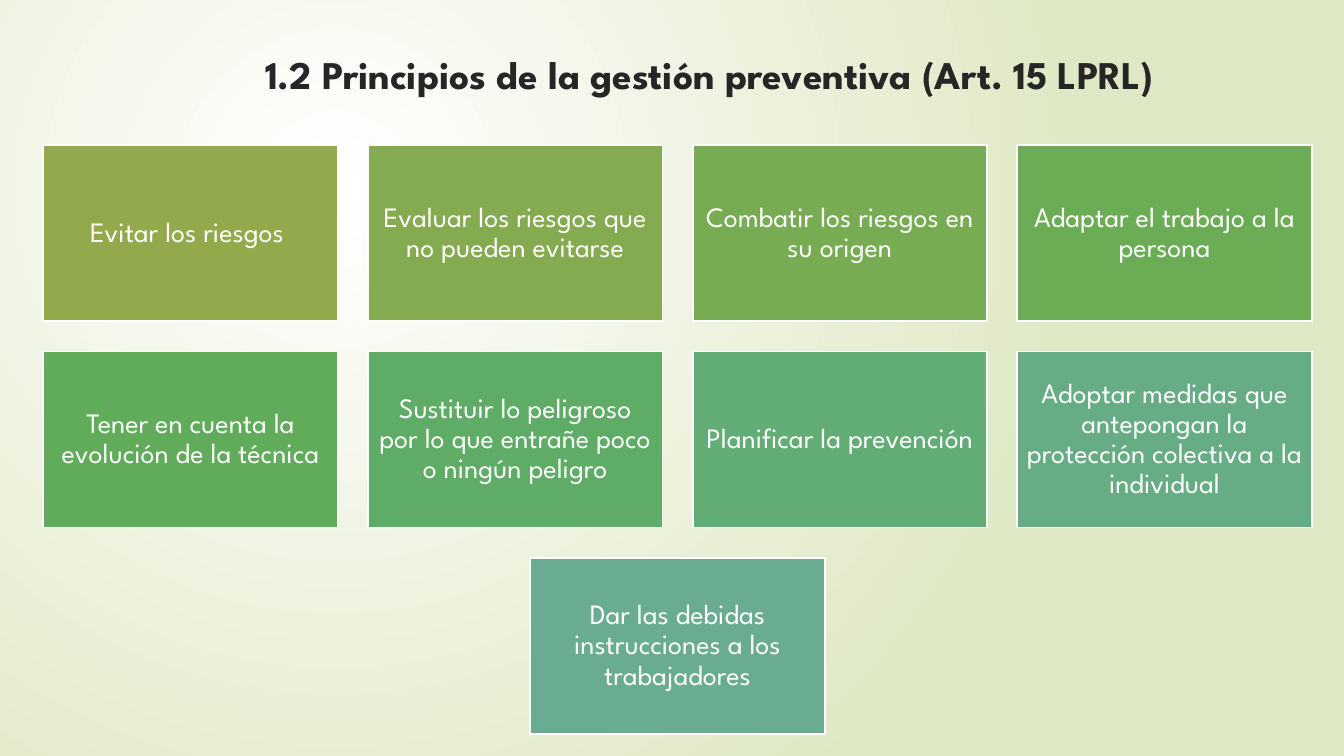
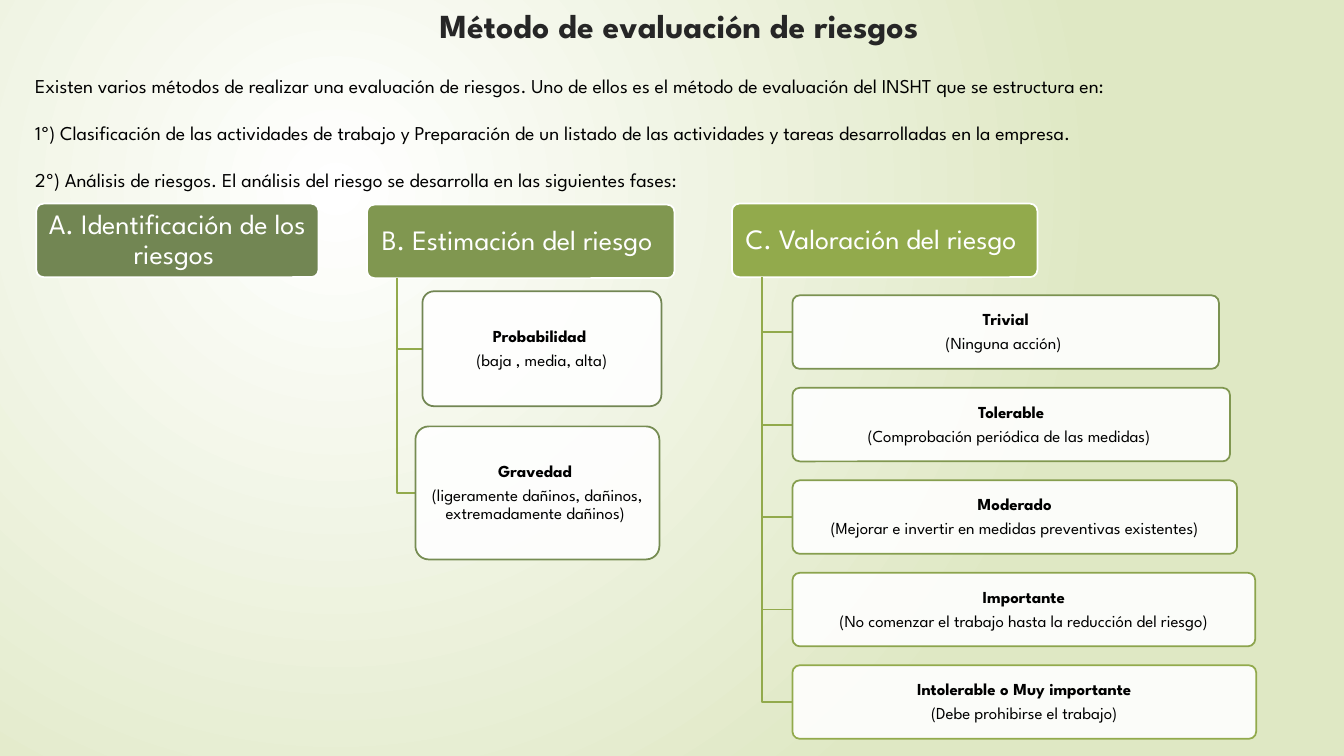
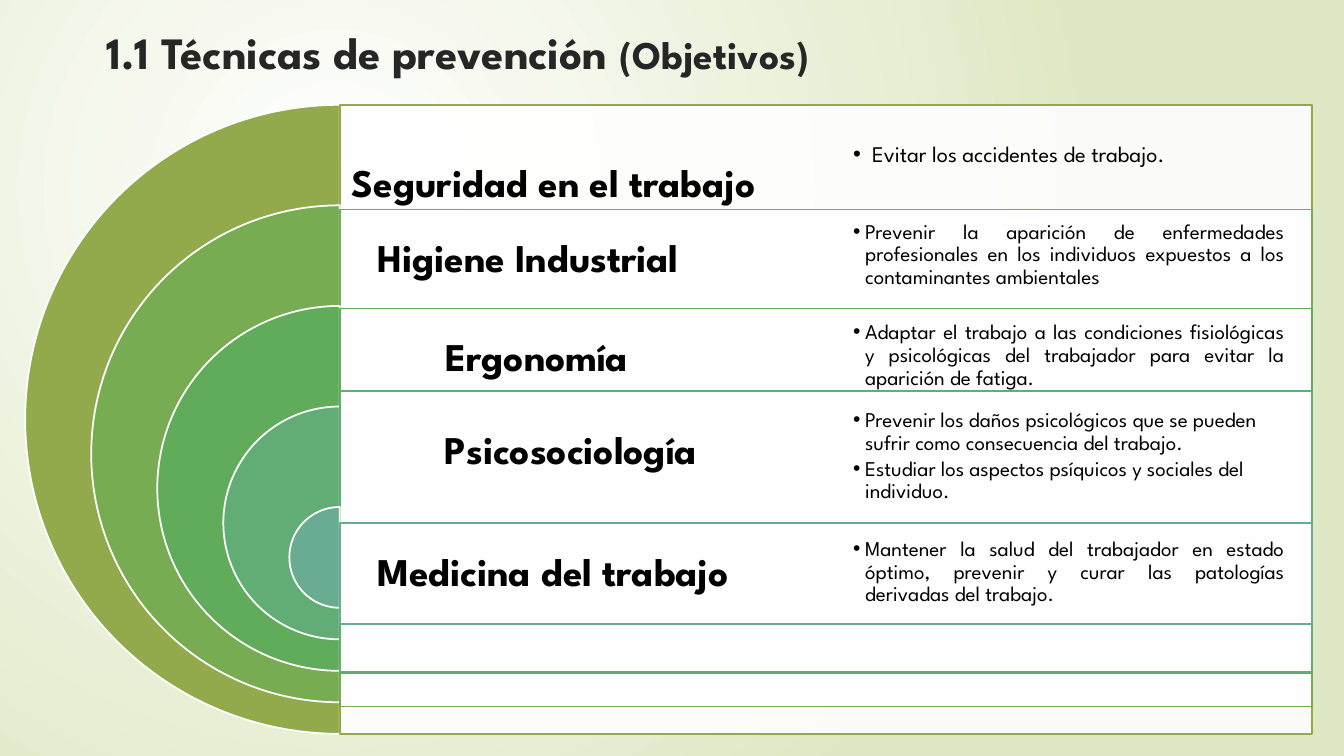
from dataclasses import dataclass

from lxml import etree
from pptx import Presentation
from pptx.dml.color import RGBColor
from pptx.enum.shapes import MSO_SHAPE
from pptx.enum.text import MSO_ANCHOR, PP_ALIGN
from pptx.oxml.ns import qn
from pptx.util import Inches, Pt

RECT, ROUNDED, PIE = MSO_SHAPE.RECTANGLE, MSO_SHAPE.ROUNDED_RECTANGLE, MSO_SHAPE.PIE
LEFT, CENTER, JUSTIFY = PP_ALIGN.LEFT, PP_ALIGN.CENTER, PP_ALIGN.JUSTIFY
TOP, MIDDLE = MSO_ANCHOR.TOP, MSO_ANCHOR.MIDDLE


@dataclass(frozen=True)
class Theme:
    font: str = "League Spartan"
    bullet_font: str = "Arial"
    white: str = "FFFFFF"
    black: str = "000000"
    title: str = "262626"
    backdrop: str = "DFE8C4"
    olive: str = "92AA4C"
    line_width: float = 1.25
    veil_opacity: int = 90
    tight: float = 0.9
    title_size: int = 28
    title_large: int = 32
    title_small: int = 24
    tile_size: int = 20
    intro_size: int = 14
    card_size: int = 12
    label_size: int = 28
    objective_size: int = 15
    objective_large: int = 16


THEME = Theme()


@dataclass(frozen=True)
class Box:
    """An area of the slide, in inches."""
    left: float
    top: float
    width: float
    height: float

    def inside(self, dx, dy, width, height):
        return Box(self.left + dx, self.top + dy, width, height)

    @property
    def middle(self):
        return self.top + self.height / 2

    @property
    def emu(self):
        return [Inches(n) for n in (self.left, self.top, self.width, self.height)]


@dataclass(frozen=True)
class Style:
    """How the paragraphs of one text frame look."""
    color: str = THEME.black
    align: PP_ALIGN = CENTER
    anchor: MSO_ANCHOR = MIDDLE
    spacing: float = THEME.tight
    gap: float = 0
    inset: tuple = (0, 0)
    hanging: float = 0


TITLE = Style(color=THEME.title, spacing=1, inset=(0.1, 0.05))
TITLE_LEFT = Style(color=THEME.title, align=LEFT, spacing=1, inset=(0.1, 0.05))
TILE = Style(color=THEME.white, inset=(6 / 72, 6 / 72))
HEADING = Style(color=THEME.white, inset=(0.06, 0.04))
CARD = Style(gap=4.2, inset=(0.06, 0.04))
INTRO = Style(align=LEFT, anchor=TOP, spacing=1, gap=16.8, inset=(0.1, 0.05))
LABEL = Style(align=LEFT)

PRINCIPLES = [
    ("Evitar los riesgos ", "92AA4C"),
    ("Evaluar los riesgos que no pueden evitarse", "84AB4F"),
    ("Combatir los riesgos en su origen", "77AC52"),
    ("Adaptar el trabajo a la persona", "6BAD55"),
    ("Tener en cuenta la evolución de la técnica", "60AC5A"),
    ("Sustituir lo peligroso por lo que entrañe poco o ningún peligro", "5EAC65"),
    ("Planificar la prevención", "62AC75"),
    ("Adoptar medidas que antepongan la protección colectiva a la individual", "66AC84"),
    ("Dar las debidas instrucciones a los trabajadores", "6AAC91"),
]

INTRO_LINES = [
    "Existen varios métodos de realizar una evaluación de riesgos. Uno de ellos es el "
    "método de evaluación del INSHT que se estructura en:",
    "1º) Clasificación de las actividades de trabajo y Preparación de un listado de las "
    "actividades y tareas desarrolladas en la empresa.",
    "2º) Análisis de riesgos. El análisis del riesgo se desarrolla en las siguientes fases:",
]

# Name, detail, outline, and place relative to the heading.
ESTIMATION = [
    ("Probabilidad ", "(baja , media, alta)", "728653", (0.55, 0.86, 2.37, 1.14)),
    ("Gravedad ", "(ligeramente dañinos, dañinos, extremadamente dañinos) ", "768C52",
     (0.48, 2.2, 2.42, 1.32)),
]

# Name, detail, outline and card width.
LEVELS = [
    ("Trivial", "(Ninguna acción) ", "7B9251", 4.23),
    ("Tolerable", "(Comprobación periódica de las medidas) ", "809750", 4.34),
    ("Moderado", "(Mejorar e invertir en medidas preventivas existentes)", "869E4F", 4.41),
    ("Importante", "(No comenzar el trabajo hasta la reducción del riesgo)", "8CA44D", 4.59),
    ("Intolerable o Muy importante", "(Debe prohibirse el trabajo)", "92AA4C", 4.6),
]
LEVEL_PITCH = 3.67 / (len(LEVELS) - 1)
VALUATION = [(name, detail, outline, (0.6, 0.91 + LEVEL_PITCH * row, width, 0.73))
             for row, (name, detail, outline, width) in enumerate(LEVELS)]


@dataclass(frozen=True)
class Technique:
    """Places are relative to the diagram; the two middles are heights of text."""
    name: str
    color: str
    panel_top: float
    panel_height: float
    label_left: float
    label_middle: float
    objective_middle: float
    objectives: tuple
    size: int = THEME.objective_size
    align: PP_ALIGN = JUSTIFY
    hanging: float = 0.12


TECHNIQUES = [
    Technique("Seguridad en el trabajo", "92AA4C", 0, 6.24, 3.24, 0.79, 0.5,
              ("Evitar los accidentes de trabajo.",),
              THEME.objective_large, LEFT, 0.19),
    Technique("Higiene Industrial", "77AC52", 1.04, 4.93, 3.49, 1.54, 1.49,
              ("Prevenir la aparición de enfermedades profesionales en los individuos "
               "expuestos a los contaminantes ambientales",)),
    Technique("Ergonomía", "60AC5A", 2.02, 3.62, 4.17, 2.52, 2.49,
              ("Adaptar el trabajo a las condiciones fisiológicas y psicológicas del "
               "trabajador para evitar la aparición de fatiga.",)),
    Technique("Psicosociología", "62AC75", 2.84, 2.79, 4.16, 3.44, 3.49,
              ("Prevenir los daños psicológicos que se pueden sufrir como consecuencia "
               "del trabajo.",
               "Estudiar los aspectos psíquicos y sociales del individuo."), align=LEFT),
    Technique("Medicina del trabajo", "6AAC91", 4.15, 1, 3.49, 4.65, 4.64,
              ("Mantener la salud del trabajador en estado óptimo, prevenir y curar las "
               "patologías derivadas del trabajo.",)),
]
RING_SHRINK = 1.31
RING_DROP = 3.99 / (len(TECHNIQUES) - 1)


def rgb(color):
    return RGBColor.from_string(color)


def write(frame, paragraphs, style):
    """Fill a frame; each paragraph is a list of (text, size, bold) runs."""
    frame.word_wrap = True
    frame.vertical_anchor = style.anchor
    frame.margin_left = frame.margin_right = Inches(style.inset[0])
    frame.margin_top = frame.margin_bottom = Inches(style.inset[1])
    for index, runs in enumerate(paragraphs):
        paragraph = frame.add_paragraph() if index else frame.paragraphs[0]
        paragraph.alignment = style.align
        paragraph.line_spacing = style.spacing
        if index and style.gap:
            paragraph.space_before = Pt(style.gap)
        if style.hanging:
            add_bullet(paragraph, style.hanging)
        for text, size, bold in runs:
            run = paragraph.add_run()
            run.text = text
            run.font.name = THEME.font
            run.font.size = Pt(size)
            run.font.bold = bold
            run.font.color.rgb = rgb(style.color)


def add_bullet(paragraph, hanging):
    properties = paragraph._p.get_or_add_pPr()
    properties.set("marL", str(Inches(hanging)))
    properties.set("indent", str(-Inches(hanging)))
    etree.SubElement(properties, qn("a:buFont")).set("typeface", THEME.bullet_font)
    etree.SubElement(properties, qn("a:buChar")).set("char", "•")


def add_text(slide, box, paragraphs, style):
    write(slide.shapes.add_textbox(*box.emu).text_frame, paragraphs, style)


def add_figure(slide, kind, box, fill, line, adjustments=(), opacity=100):
    figure = slide.shapes.add_shape(kind, *box.emu)
    figure.shadow.inherit = False
    figure.fill.solid()
    figure.fill.fore_color.rgb = rgb(fill)
    figure.line.color.rgb = rgb(line)
    figure.line.width = Pt(THEME.line_width)
    for index, value in enumerate(adjustments):
        figure.adjustments[index] = value
    if opacity < 100:
        tint = figure._element.spPr.find(qn("a:solidFill"))[0]
        etree.SubElement(tint, qn("a:alpha")).set("val", str(opacity * 1000))
    return figure


def add_elbow(slide, x1, y1, x2, y2):
    """A line that goes straight down and then across."""
    start, corner, end = [(Inches(x), Inches(y)) for x, y in ((x1, y1), (x1, y2), (x2, y2))]
    outline = slide.shapes.build_freeform(*start)
    outline.add_line_segments([corner, end], close=False)
    elbow = outline.convert_to_shape()
    elbow.shadow.inherit = False
    elbow.fill.background()
    elbow.line.color.rgb = rgb(THEME.olive)
    elbow.line.width = Pt(THEME.line_width)


def paint_background(master):
    """Give every slide a round glow centred a quarter in from the top left."""
    fill = master.background.fill
    fill.gradient()
    for stop, color in zip(fill.gradient_stops, (THEME.white, THEME.backdrop)):
        stop.color.rgb = rgb(color)
    gradient = next(master.element.iter(qn("a:gradFill")))
    linear = gradient.find(qn("a:lin"))
    glow = etree.Element(qn("a:path"), path="circle")
    etree.SubElement(glow, qn("a:fillToRect"), l="50000", t="50000", r="100000", b="100000")
    gradient.replace(linear, glow)


def add_slide(prs, title_box, title_runs, style=TITLE):
    slide = prs.slides.add_slide(prs.slide_layouts[6])
    add_text(slide, title_box, [[(text, size, True) for text, size in title_runs]], style)
    return slide


def add_tile_grid(slide, box, tiles, columns, gap):
    """Equal tiles row by row; a short last row is centred."""
    rows = -(-len(tiles) // columns)
    width = (box.width - gap * (columns - 1)) / columns
    height = (box.height - gap * (rows - 1)) / rows
    for index, (text, fill) in enumerate(tiles):
        row, column = divmod(index, columns)
        in_row = min(columns, len(tiles) - row * columns)
        start = (columns - in_row) * (width + gap) / 2
        place = box.inside(start + column * (width + gap), row * (height + gap), width, height)
        tile = add_figure(slide, RECT, place, fill, THEME.white)
        write(tile.text_frame, [[(text, THEME.tile_size, False)]], TILE)


def add_branch(slide, box, heading, fill, cards=()):
    """A heading in the box, with cards hanging from elbows below it."""
    trunk = box.left + 0.3
    bottom = box.top + box.height
    head = add_figure(slide, ROUNDED, box, fill, THEME.white, [0.1])
    write(head.text_frame, [[(heading, THEME.tile_size, False)]], HEADING)
    for name, detail, outline, offset in cards:
        place = box.inside(*offset)
        add_elbow(slide, trunk, bottom, place.left, place.middle)
        card = add_figure(slide, ROUNDED, place, THEME.white, outline, [0.1],
                          THEME.veil_opacity)
        write(card.text_frame, [[(name, THEME.card_size, True)],
                                [(detail, THEME.card_size, False)]], CARD)


def add_nested_arcs(slide, box, techniques):
    """Half discs that shrink inwards, each with a panel, a label and objectives."""
    radius = box.height / 2
    panel_width = box.width - radius
    half = panel_width / 2
    for level, technique in enumerate(techniques):
        diameter = box.height - RING_SHRINK * level
        disc = box.inside(radius - diameter / 2, RING_DROP * level, diameter, diameter)
        add_figure(slide, PIE, disc, technique.color, THEME.white, [54, 162])
        panel = box.inside(radius, technique.panel_top, panel_width, technique.panel_height)
        add_figure(slide, RECT, panel, THEME.white, technique.color,
                   opacity=THEME.veil_opacity)
        label = box.inside(technique.label_left, technique.label_middle - 0.5, half, 1)
        add_text(slide, label, [[(technique.name, THEME.label_size, True)]], LABEL)
    for technique in techniques:
        place = box.inside(radius + half, technique.objective_middle - 0.5, half, 1)
        style = Style(align=technique.align, gap=2.25, inset=(0.27, 0),
                      hanging=technique.hanging)
        add_text(slide, place,
                 [[(text, technique.size, False)] for text in technique.objectives], style)


def principles_slide(prs):
    slide = add_slide(prs, Box(0.84, 0.45, 12.39, 0.57),
                      [("1.2 Principios de la gestión preventiva (Art. 15 LPRL)",
                        THEME.title_size)])
    add_tile_grid(slide, Box(0.43, 1.44, 12.58, 5.84), PRINCIPLES, columns=4, gap=0.3)


def method_slide(prs):
    slide = add_slide(prs, Box(0.65, 0, 12.17, 0.5),
                      [("Método de evaluación de riesgos", THEME.title_small)])
    add_branch(slide, Box(0.36, 2.02, 2.8, 0.73), "A. Identificación de los riesgos ", "728653")
    add_branch(slide, Box(3.64, 2.03, 3.05, 0.73), "B. Estimación del riesgo ", "809750",
               ESTIMATION)
    add_branch(slide, Box(7.26, 2.02, 3.03, 0.73), "C. Valoración del riesgo ", THEME.olive,
               VALUATION)
    add_text(slide, Box(0.25, 0.68, 12.89, 1.28),
             [[(line, THEME.intro_size, False)] for line in INTRO_LINES], INTRO)


def techniques_slide(prs):
    slide = add_slide(prs, Box(0.96, 0.19, 10.83, 0.65),
                      [("1.1 Técnicas de prevención ", THEME.title_large),
                       ("(Objetivos)", THEME.title_size)], TITLE_LEFT)
    add_nested_arcs(slide, Box(0.25, 1.04, 12.76, 6.24), TECHNIQUES)


def main():
    prs = Presentation()
    prs.slide_width, prs.slide_height = Inches(13.33), Inches(7.5)
    paint_background(prs.slide_master)
    principles_slide(prs)
    method_slide(prs)
    techniques_slide(prs)
    prs.save("out.pptx")


if __name__ == "__main__":
    main()
